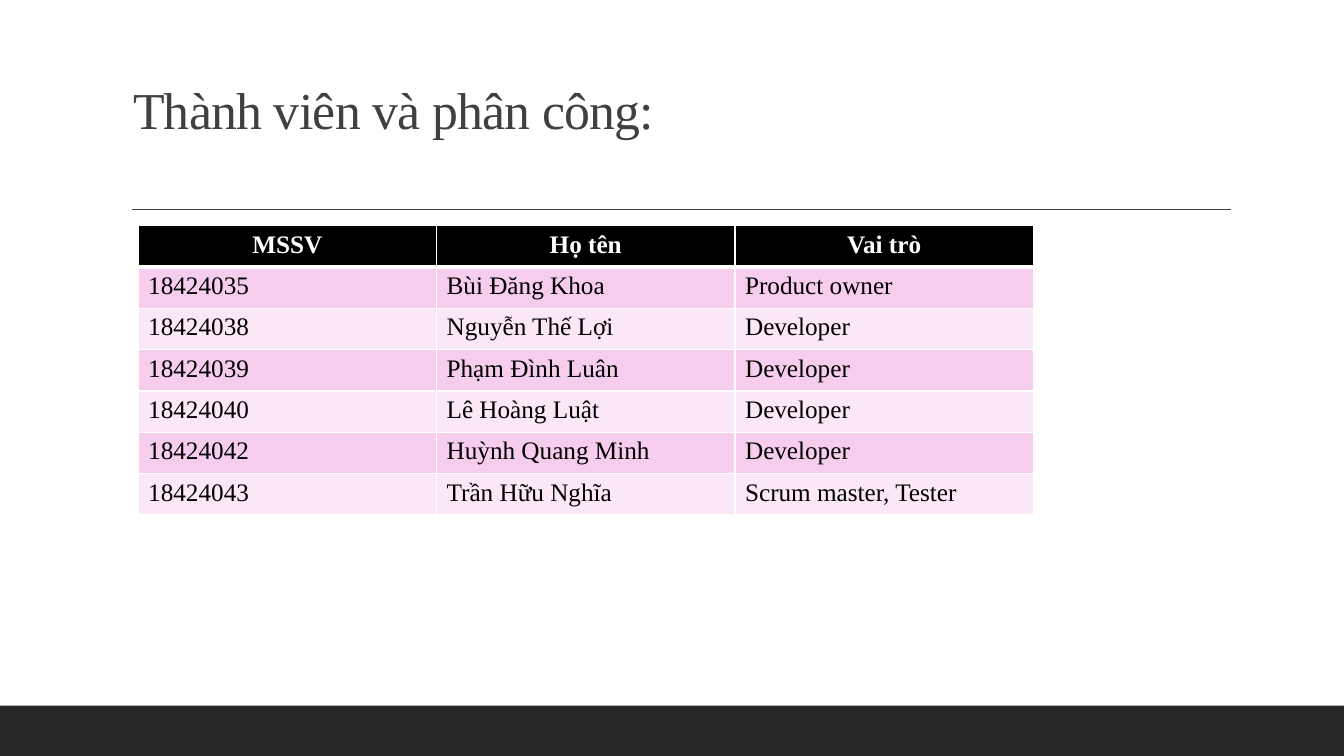
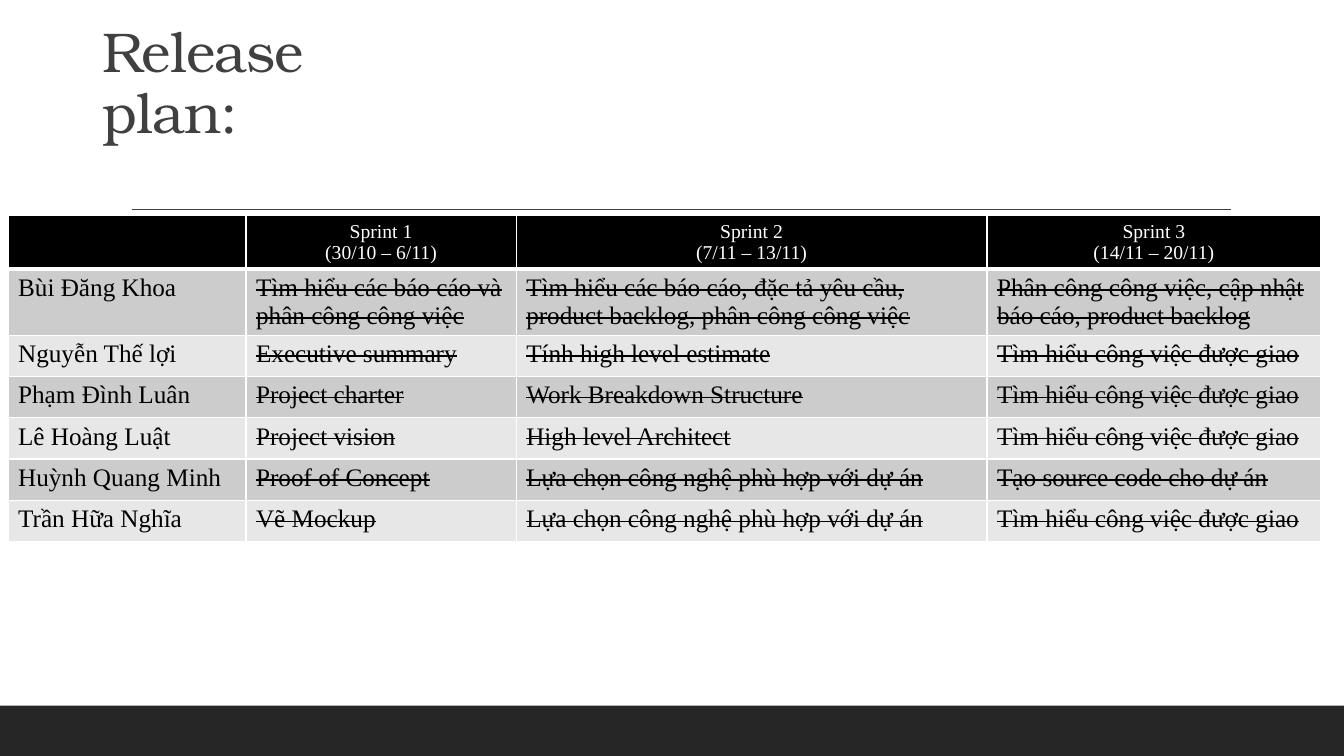
import copy
import pptx
import pptx.dml.color
import pptx.enum.dml
import pptx.enum.shapes
import pptx.enum.text
import pptx.oxml
import pptx.oxml.ns
import pptx.util

WIDTH, HEIGHT = 13.33, 7.5
BAND_HEIGHT = HEIGHT / 15
ROW_HEIGHT = 0.41
BODY_FONT = "Times New Roman"
BODY_SIZE = 18
BLACK, WHITE, GRAY, BAND = "000000", "FFFFFF", "404040", "262626"

LEARN_TASK = "Tìm hiểu công việc được giao"
CHOOSE_TECHNOLOGY = "Lựa chọn công nghệ phù hợp với dự án"

SLIDES = [
    {
        "title": "Thành viên và phân công:",
        "title_box": (1.22, 0.23, 7.14, 1.83),
        "title_font": (BODY_FONT, 37),
        "table_corner": (1.37, 2.24),
        "columns": [2.96] * 3,
        "bands": ("F6CDED", "FAE8F6"),
        "header_style": (18, True),
        "strike_tasks": False,
        "rows": [
            ("MSSV", "Họ tên", "Vai trò"),
            ("18424035", "Bùi Đăng Khoa", "Product owner"),
            ("18424038", "Nguyễn Thế Lợi", "Developer"),
            ("18424039", "Phạm Đình Luân", "Developer"),
            ("18424040", "Lê Hoàng Luật", "Developer"),
            ("18424042", "Huỳnh Quang Minh", "Developer"),
            ("18424043", "Trần Hữu Nghĩa", "Scrum master, Tester"),
        ],
    },
    {
        "title": "Release plan:",
        "title_box": (0.92, 0.33, 3.48, 1.83),
        "title_font": ("TeX Gyre Bonum", 40),
        "table_corner": (0.08, 2.14),
        "columns": [2.36, 2.68, 4.67, 3.31],
        "bands": ("CCCCCC", "E7E7E7"),
        "header_style": (14, False),
        "strike_tasks": True,
        "rows": [
            ("", "Sprint 1\n(30/10 – 6/11)", "Sprint 2\n(7/11 – 13/11)", "Sprint 3\n(14/11 – 20/11)"),
            ("Bùi Đăng Khoa", "Tìm hiểu các báo cáo và phân công công việc",
             "Tìm hiểu các báo cáo, đặc tả yêu cầu, product backlog, phân công công việc",
             "Phân công công việc, cập nhật báo cáo, product backlog"),
            ("Nguyễn Thế lợi", "Executive summary", "Tính high level estimate", LEARN_TASK),
            ("Phạm Đình Luân", "Project charter", "Work Breakdown Structure", LEARN_TASK),
            ("Lê Hoàng Luật", "Project vision", "High level Architect", LEARN_TASK),
            ("Huỳnh Quang Minh", "Proof of Concept", CHOOSE_TECHNOLOGY, "Tạo source code cho dự án"),
            ("Trần Hữa Nghĩa", "Vẽ Mockup", CHOOSE_TECHNOLOGY, LEARN_TASK),
        ],
    },
]


def inches(*values):
    return [pptx.util.Inches(value) for value in values]


def color(hex_value):
    return pptx.dml.color.RGBColor.from_string(hex_value)


def paint(fill, hex_value):
    fill.solid()
    fill.fore_color.rgb = color(hex_value)


def style_run(run, font_name, size, hex_value, bold=False):
    run.font.name = font_name
    run.font.size = pptx.util.Pt(size)
    run.font.bold = bold
    run.font.color.rgb = color(hex_value)


def add_master_decoration(presentation, slide):
    band = slide.shapes.add_shape(
        pptx.enum.shapes.MSO_SHAPE.RECTANGLE,
        *inches(0, HEIGHT - BAND_HEIGHT, WIDTH, BAND_HEIGHT))
    band.shadow.inherit = False
    paint(band.fill, BAND)
    band.line.fill.background()
    rule = slide.shapes.add_connector(
        pptx.enum.shapes.MSO_CONNECTOR.STRAIGHT, *inches(1.31, 2.08, 12.21, 2.08))
    rule.line.color.rgb = color(GRAY)
    rule.line.width = pptx.util.Pt(1)
    pptx.oxml.ns.qn("a:effectLst")
    rule._element.spPr.append(pptx.oxml.parse_xml(
        f'<a:effectLst {pptx.oxml.ns.nsdecls("a")}/>'))
    for shape in (band, rule):
        presentation.slide_master.shapes._spTree.append(shape._element)


def add_title(slide, content):
    title = slide.shapes.title
    title.left, title.top, title.width, title.height = inches(*content["title_box"])
    frame = title.text_frame
    frame.text = content["title"] + "\v"
    frame.word_wrap = True
    frame.auto_size = pptx.enum.text.MSO_AUTO_SIZE.NONE
    frame.vertical_anchor = pptx.enum.text.MSO_ANCHOR.BOTTOM
    paragraph = frame.paragraphs[0]
    paragraph.alignment = pptx.enum.text.PP_ALIGN.LEFT
    paragraph.line_spacing = 0.9
    run = paragraph.runs[0]
    style_run(run, *content["title_font"], GRAY)
    properties = run._r.get_or_add_rPr()
    properties.set("spc", "-50")
    line_break = paragraph._p.find(pptx.oxml.ns.qn("a:br"))
    line_break.insert(0, copy.deepcopy(properties))
    end_properties = paragraph._p.makeelement(pptx.oxml.ns.qn("a:endParaRPr"), dict(properties.attrib))
    end_properties.extend(copy.deepcopy(child) for child in properties)
    paragraph._p.append(end_properties)


def add_borders(cell, weights):
    properties = cell._tc.get_or_add_tcPr()
    for side, weight in weights.items():
        properties.append(pptx.oxml.parse_xml(
            f'<a:ln{side} {pptx.oxml.ns.nsdecls("a")} w="{pptx.util.Pt(weight)}">'
            f'<a:solidFill><a:srgbClr val="{WHITE}"/></a:solidFill></a:ln{side}>'))


def add_table(slide, content):
    rows, columns = content["rows"], content["columns"]
    table = slide.shapes.add_table(
        len(rows), len(columns),
        *inches(*content["table_corner"], sum(columns), ROW_HEIGHT * len(rows))).table
    for column, width in zip(table.columns, columns):
        column.width = pptx.util.Inches(width)
    header_size, header_bold = content["header_style"]
    for row_index, row in enumerate(rows):
        table.rows[row_index].height = pptx.util.Inches(ROW_HEIGHT)
        is_header = row_index == 0
        for column_index, text in enumerate(row):
            cell = table.cell(row_index, column_index)
            cell.text = text
            top_or_header = 3 if row_index == 1 else 1
            add_borders(cell, {"L": 1, "R": 1, "T": top_or_header, "B": 3 if is_header else 1})
            paint(cell.fill, BLACK if is_header else content["bands"][(row_index - 1) % 2])
            for paragraph in cell.text_frame.paragraphs:
                if is_header:
                    paragraph.alignment = pptx.enum.text.PP_ALIGN.CENTER
                for run in paragraph.runs:
                    if is_header:
                        style_run(run, BODY_FONT, header_size, WHITE, header_bold)
                    else:
                        style_run(run, BODY_FONT, BODY_SIZE, BLACK)
                        if content["strike_tasks"] and column_index > 0:
                            run._r.get_or_add_rPr().set("strike", "sngStrike")


def main():
    presentation = pptx.Presentation()
    presentation.slide_width, presentation.slide_height = inches(WIDTH, HEIGHT)
    title_only = presentation.slide_layouts[5]
    for index, content in enumerate(SLIDES):
        slide = presentation.slides.add_slide(title_only)
        if index == 0:
            add_master_decoration(presentation, slide)
        add_title(slide, content)
        add_table(slide, content)
    presentation.save("out.pptx")


if __name__ == "__main__":
    main()
